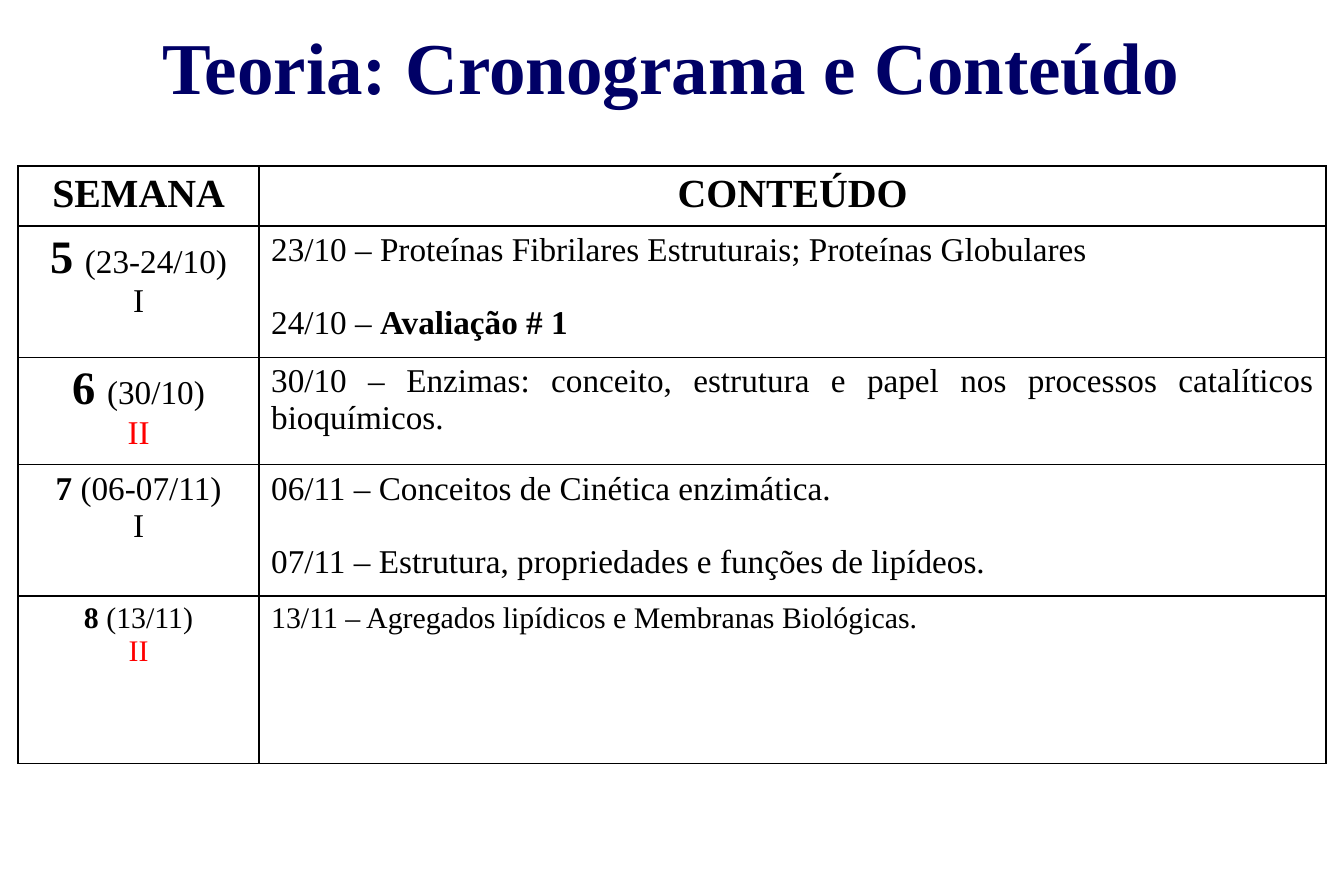
import pptx
import pptx.dml.color
import pptx.enum.text
import pptx.oxml
import pptx.oxml.ns
import pptx.util
from pptx.util import Inches

ALIGN = pptx.enum.text.PP_ALIGN
BLACK, RED, NAVY = "000000", "FF0000", "000066"


def write_paragraph(para, spans, align):
    """Fill a paragraph with (text, size, bold, colour) spans."""
    para.alignment = align
    for text, size, bold, colour in spans:
        span = para.add_run()
        span.text = text
        span.font.name = "Times New Roman"
        span.font.size = pptx.util.Pt(size)
        span.font.bold = bold
        span.font.color.rgb = pptx.dml.color.RGBColor.from_string(colour)


def style_cell(cell):
    """Give a cell black 1 pt borders, no fill and its margins."""
    properties = cell._tc.get_or_add_tcPr()
    for side in "LRTB":
        properties.append(pptx.oxml.parse_xml(
            f'<a:ln{side} {pptx.oxml.ns.nsdecls("a")} w="12700"><a:solidFill>'
            f'<a:srgbClr val="{BLACK}"/></a:solidFill></a:ln{side}>'))
    cell.fill.background()
    cell.margin_left = cell.margin_right = Inches(0.1)
    cell.margin_top = cell.margin_bottom = Inches(0.05)


# Number, number size, dates, group, group colour, text size, alignment, content
weeks = [
    ("5 ", 28, "(23-24/10)", "I", BLACK, 20, ALIGN.JUSTIFY,
     [[("23/10 – Proteínas Fibrilares Estruturais; Proteínas Globulares", False)],
      [("24/10 – ", False), ("Avaliação # 1", True)]]),
    ("6 ", 28, "(30/10)", "II", RED, 20, ALIGN.JUSTIFY,
     [[("30/10 – Enzimas: conceito, estrutura e papel nos processos "
        "catalíticos bioquímicos. ", False)]]),
    ("7 ", 20, "(06-07/11)", "I", BLACK, 20, ALIGN.JUSTIFY,
     [[("06/11 – Conceitos de Cinética enzimática. ", False)],
      [("07/11 – Estrutura, propriedades e funções de lipídeos. ", False)]]),
    ("8 ", 18, "(13/11)", "II", RED, 18, ALIGN.LEFT,
     [[("13/11 – Agregados lipídicos e Membranas Biológicas.", False)]]),
]
row_heights = [0.5, 1.1, 0.9, 1.1, 1.4]
column_widths = [2.02, 8.93]

deck = pptx.Presentation()
deck.slide_width, deck.slide_height = Inches(11.25), Inches(7.5)
page = deck.slides.add_slide(deck.slide_layouts[6])

schedule = page.shapes.add_table(
    len(row_heights), len(column_widths), Inches(0.15), Inches(1.39),
    Inches(sum(column_widths)), Inches(sum(row_heights))).table
schedule.first_row = schedule.horz_banding = False
for row, height in zip(schedule.rows, row_heights):
    row.height = Inches(height)
for column, width in zip(schedule.columns, column_widths):
    column.width = Inches(width)
for cell in schedule.iter_cells():
    style_cell(cell)

for index, heading in enumerate(["SEMANA", "CONTEÚDO"]):
    para = schedule.cell(0, index).text_frame.paragraphs[0]
    write_paragraph(para, [(heading, 24, True, BLACK)], ALIGN.CENTER)

for index, week in enumerate(weeks, start=1):
    number, number_size, dates, group, group_colour, size, align, lessons = week
    week_frame = schedule.cell(index, 0).text_frame
    write_paragraph(week_frame.paragraphs[0],
                    [(number, number_size, True, BLACK), (dates, size, False, BLACK)],
                    ALIGN.CENTER)
    write_paragraph(week_frame.add_paragraph(),
                    [(group, size, False, group_colour)], ALIGN.CENTER)

    lesson_frame = schedule.cell(index, 1).text_frame
    for position, lesson in enumerate(lessons):
        para = lesson_frame.add_paragraph() if position else lesson_frame.paragraphs[0]
        if position:
            para.space_before = pptx.util.Pt(22)
        write_paragraph(para, [(text, size, bold, BLACK) for text, bold in lesson], align)

title = page.shapes.add_textbox(Inches(0.56), Inches(-0.08), Inches(10.12), Inches(1.25))
title.text_frame.word_wrap = True
title.text_frame.vertical_anchor = pptx.enum.text.MSO_ANCHOR.MIDDLE
write_paragraph(title.text_frame.paragraphs[0],
                [("Teoria: Cronograma e Conteúdo", 44, True, NAVY)], ALIGN.CENTER)

deck.save("out.pptx")
